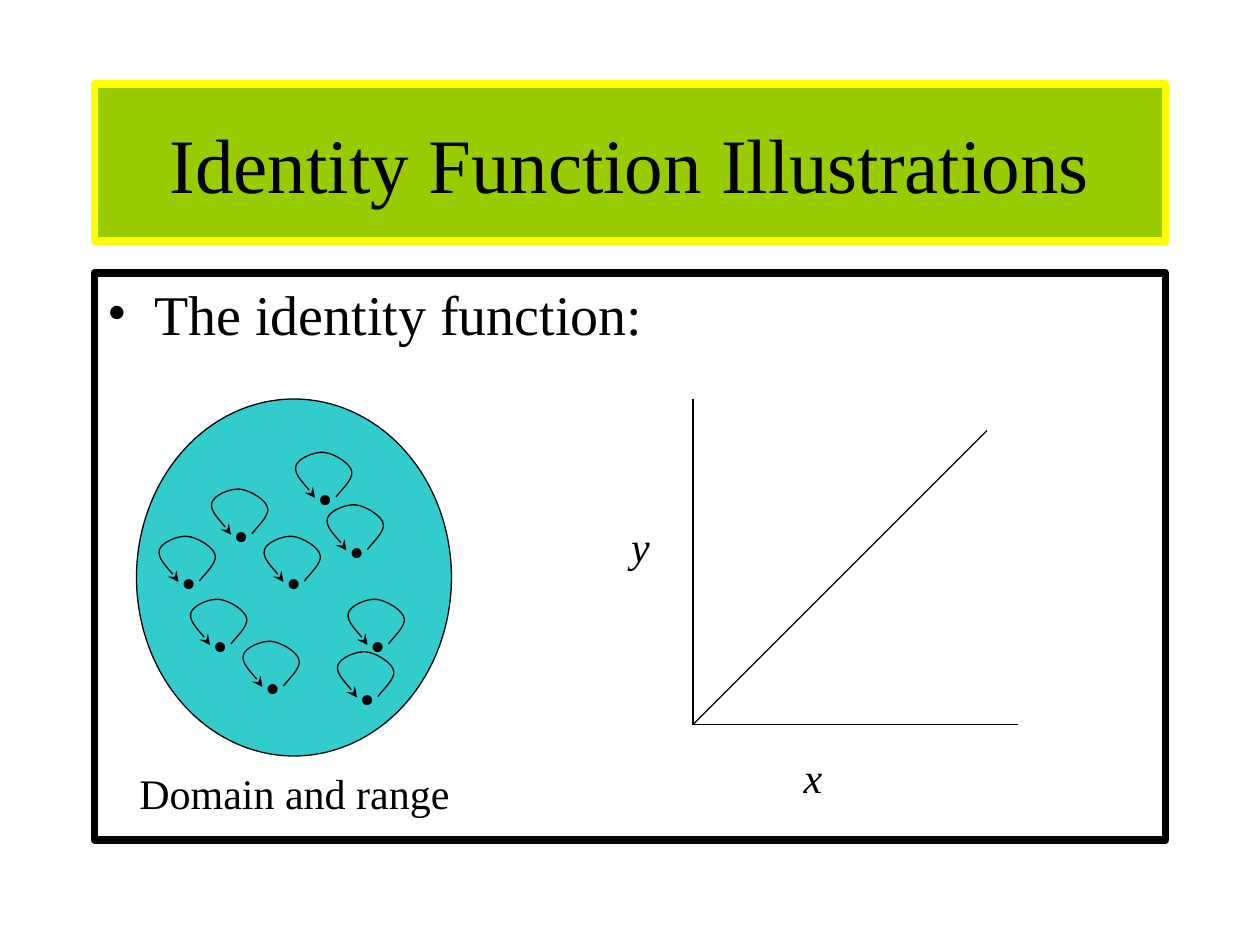
from dataclasses import dataclass

from pptx import Presentation
from pptx.dml.color import RGBColor as RGB
from pptx.enum.shapes import MSO_CONNECTOR as CONN, MSO_SHAPE as SHAPE
from pptx.enum.text import MSO_ANCHOR as ANCHOR, MSO_AUTO_SIZE as AUTO, PP_ALIGN as ALIGN
from pptx.oxml.ns import qn
from pptx.util import Pt


@dataclass(frozen=True)
class Theme:
    font: str = "Times New Roman"
    ink: RGB = RGB(0x00, 0x00, 0x00)
    paper: RGB = RGB(0xFF, 0xFF, 0xFF)
    green: RGB = RGB(0x99, 0xCC, 0x00)
    yellow: RGB = RGB(0xFF, 0xFF, 0x00)
    teal: RGB = RGB(0x33, 0xCC, 0xCC)
    title: int = 44
    body: int = 32
    label: int = 24
    frame: float = 4.5
    thin: float = 0.75


T = Theme()


def write(sp, text, size=T.label, align=ALIGN.CENTER, anchor=ANCHOR.MIDDLE,
          italic=False, bullet=None, wrap=False):
    tf = sp.text_frame
    tf.word_wrap = wrap
    tf.auto_size = AUTO.NONE if wrap else AUTO.SHAPE_TO_FIT_TEXT
    tf.vertical_anchor = anchor
    p = tf.paragraphs[0]
    p.alignment = align
    p.space_before = Pt(0)
    if bullet:
        pPr = p._p.get_or_add_pPr()
        pPr.set("marL", str(Pt(27)))
        pPr.set("indent", str(-Pt(27)))
        pPr.makeelement
        for tag, key, value in (("a:buFont", "typeface", T.font), ("a:buChar", "char", bullet)):
            pPr.append(pPr.makeelement(qn(tag), {key: value}))
    r = p.add_run()
    r.text = text
    r.font.name, r.font.size, r.font.italic = T.font, Pt(size), italic
    r.font.color.rgb = T.ink


def outline(sp, color=T.ink, width=T.thin, fill=None):
    sp.line.color.rgb = color
    sp.line.width = Pt(width)
    if fill is not None:
        sp.fill.solid()
        sp.fill.fore_color.rgb = fill


prs = Presentation()
prs.slide_width, prs.slide_height = Pt(720), Pt(540)
slide = prs.slides.add_slide(prs.slide_layouts[1])
shapes = slide.shapes

# Title and body panels
title, body = slide.placeholders
for sp, top, height in ((title, 48, 90), (body, 156, 324)):
    sp.left, sp.top, sp.width, sp.height = Pt(54), Pt(top), Pt(612), Pt(height)
outline(title, T.yellow, T.frame, T.green)
outline(body, T.ink, T.frame, T.paper)
write(title, "Identity Function Illustrations", size=T.title, wrap=True)
write(body, "The identity function:", size=T.body, align=ALIGN.LEFT,
      anchor=ANCHOR.TOP, bullet="•", wrap=True)

# Set that is both domain and range
oval = shapes.add_shape(SHAPE.OVAL, Pt(78), Pt(228), Pt(180), Pt(204))
oval.shadow.inherit = False
outline(oval, fill=T.teal)

# Elements, each with an arrow curving back to itself
START = (24, 26)
CURVES = [(26, 23), (34, 16), (33, 11.5),
          (32.5, 7), (23, 1), (17, 0.5),
          (11.5, 0), (2, 4), (1, 8.5),
          (0, 13), (10, 23), (12, 26.5)]
ELEMENTS = [(120, 279), (150, 306), (192, 372), (198, 342), (186, 288),
            (168, 258), (138, 366), (108, 342), (90, 306)]
for x, y in ELEMENTS:
    group = shapes.add_group_shape()
    dot = group.shapes.add_textbox(Pt(x + 6.5), Pt(y + 8.5), Pt(22.3), Pt(36))
    write(dot, "•")

    builder = group.shapes.build_freeform(Pt(x + START[0]), Pt(y + START[1]))
    builder.add_line_segments([(Pt(x + dx), Pt(y + dy)) for dx, dy in CURVES], close=False)
    loop = builder.convert_to_shape()
    loop.shadow.inherit = False
    loop.fill.background()
    outline(loop)
    ln = loop.line._get_or_add_ln()
    ln.append(ln.makeelement(qn("a:tailEnd"), {"type": "stealth"}))

    # Every three points become one Bézier curve
    track = loop._element.find(".//" + qn("a:path"))
    steps = track.findall(qn("a:lnTo"))
    for i in range(0, len(steps), 3):
        curve = track.makeelement(qn("a:cubicBezTo"), {})
        track.append(curve)
        for step in steps[i:i + 3]:
            curve.append(step[0])
            track.remove(step)

# Axes and the line y = x
ORIGIN = (396, 414)
for start, end in (((396, 228), ORIGIN), (ORIGIN, (582, 414)), (ORIGIN, (564, 246))):
    line = shapes.add_connector(CONN.STRAIGHT, *map(Pt, start + end))
    outline(line)
    spPr = line._element.spPr
    spPr.append(spPr.makeelement(qn("a:effectLst"), {}))

# Labels
for text, left, top, width, italic in (("Domain and range", 72.5, 435, 191.5, False),
                                       ("x", 452, 426, 25, True),
                                       ("y", 353.5, 294, 25, True)):
    write(shapes.add_textbox(Pt(left), Pt(top), Pt(width), Pt(36)), text, italic=italic)

prs.save("out.pptx")
